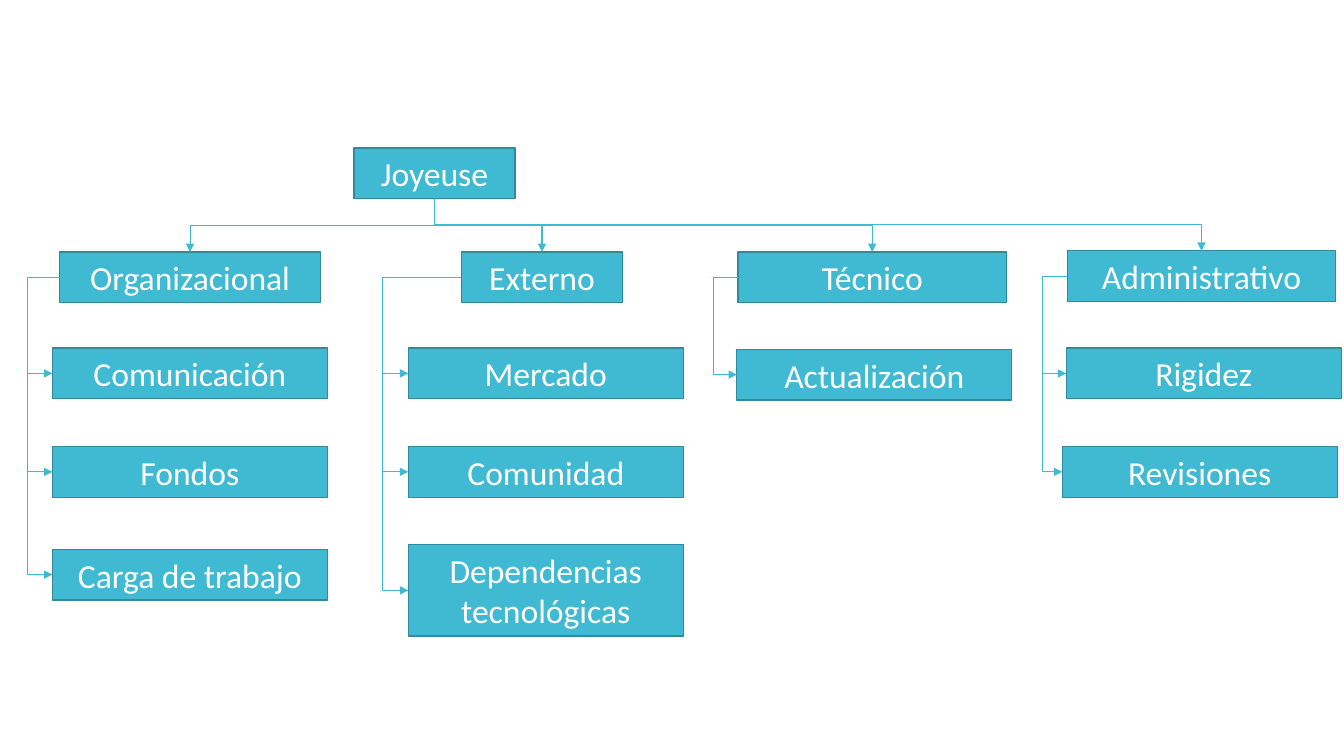
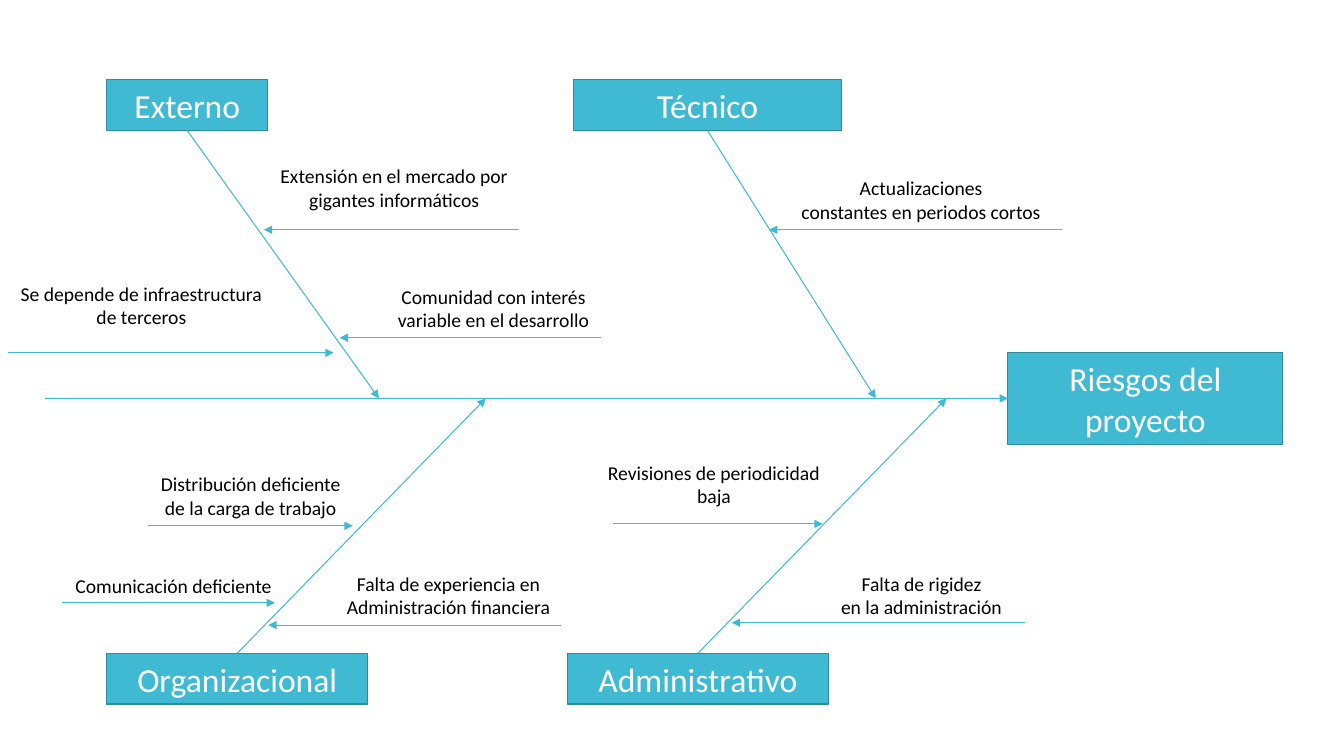
from dataclasses import dataclass

from lxml import etree
from pptx import Presentation
from pptx import util as u
from pptx.dml.color import RGBColor
from pptx.enum import shapes, text
from pptx.oxml import ns

Cm = u.Cm
TOP, LEFT, BOTTOM = 0, 1, 2  # connection sites of a rectangle


@dataclass(frozen=True)
class Theme:
    font: str = "Calibri"
    box_size: float = 24
    label_size: float = 14
    fill: RGBColor = RGBColor(0x40, 0xBA, 0xD2)
    border: RGBColor = RGBColor(0x2F, 0x8A, 0x9B)
    box_text: RGBColor = RGBColor(0xFF, 0xFF, 0xFF)
    label_text: RGBColor = RGBColor(0, 0, 0)
    border_width: float = 0.85
    line_width: float = 0.75
    box_height: float = 1.28
    tall_box_height: float = 2.31


class Diagram:
    """Draws boxes, labels and arrows on the current slide; lengths in cm."""

    def __init__(self, presentation, theme):
        self.presentation = presentation
        self.theme = theme
        self.slide = None

    def new_slide(self):
        blank = self.presentation.slide_layouts[6]
        self.slide = self.presentation.slides.add_slide(blank)

    def set_text(self, shape, content, size, color, wrap):
        frame = shape.text_frame
        frame.text = content
        frame.word_wrap = wrap
        frame.auto_size = text.MSO_AUTO_SIZE.SHAPE_TO_FIT_TEXT
        for paragraph in frame.paragraphs:
            paragraph.alignment = text.PP_ALIGN.CENTER
            for run in paragraph.runs:
                run.font.name = self.theme.font
                run.font.size = u.Pt(size)
                run.font.color.rgb = color

    def box(self, content, left, top, width, height=None):
        theme = self.theme
        shape = self.slide.shapes.add_shape(
            shapes.MSO_SHAPE.RECTANGLE, Cm(left), Cm(top), Cm(width),
            Cm(height or theme.box_height))
        shape.shadow.inherit = False
        shape.fill.solid()
        shape.fill.fore_color.rgb = theme.fill
        shape.line.color.rgb = theme.border
        shape.line.width = u.Pt(theme.border_width)
        self.set_text(shape, content, theme.box_size, theme.box_text, True)
        return shape

    def label(self, content, left, top, width):
        height = 1.45 if "\n" in content else 0.86
        shape = self.slide.shapes.add_textbox(
            Cm(left), Cm(top), Cm(width), Cm(height))
        self.set_text(shape, content, self.theme.label_size,
                      self.theme.label_text, False)

    def style_arrow(self, connector):
        connector.line.color.rgb = self.theme.fill
        connector.line.width = u.Pt(self.theme.line_width)
        properties = connector.element.spPr
        line = properties.find(ns.qn("a:ln"))
        etree.SubElement(line, ns.qn("a:tailEnd"), type="triangle")
        etree.SubElement(properties, ns.qn("a:effectLst"))

    def arrow(self, start, end):
        """Straight arrow between two (x, y) points."""
        connector = self.slide.shapes.add_connector(
            shapes.MSO_CONNECTOR.STRAIGHT, *map(Cm, start + end))
        self.style_arrow(connector)
        return connector

    def elbow(self, source, source_site, target, target_site):
        connector = self.slide.shapes.add_connector(
            shapes.MSO_CONNECTOR.ELBOW, 0, 0, 0, 0)
        connector.begin_connect(source, source_site)
        connector.end_connect(target, target_site)
        self.style_arrow(connector)
        return connector

    def orient(self, connector, degrees, flip, bend):
        """Set rotation, flip and the bend position as a share of the run."""
        properties = connector.element.spPr
        transform = properties.find(ns.qn("a:xfrm"))
        for name in ("flipH", "flipV"):
            transform.attrib.pop(name, None)
        transform.set("rot", str(degrees * 60000))
        if flip:
            transform.set(flip, "1")
        adjustments = properties.find(ns.qn("a:prstGeom")).find(ns.qn("a:avLst"))
        etree.SubElement(adjustments, ns.qn("a:gd"), name="adj1",
                         fmla=f"val {round(bend * 100000)}")

    def branch_down(self, parent, child):
        """Elbow from a parent's bottom to a child's top, bent halfway."""
        connector = self.elbow(parent, BOTTOM, child, TOP)
        x1, y1 = connector.begin_x, connector.begin_y
        x2, y2 = connector.end_x, connector.end_y
        drop, reach = y2 - y1, abs(x2 - x1)
        connector.left = (x1 + x2 - drop) // 2
        connector.top = (y1 + y2 - reach) // 2
        connector.width, connector.height = drop, reach
        if x2 < x1:
            self.orient(connector, 90, None, 0.5)
        else:
            self.orient(connector, 270, "flipH", 0.5)

    def branch_side(self, parent, child, rail):
        """Elbow between left sides, running down a rail left of both."""
        connector = self.elbow(parent, LEFT, child, LEFT)
        start = connector.begin_x
        bend = (start - Cm(rail)) / (start - connector.end_x)
        self.orient(connector, 180, "flipV", bend)


def draw_risk_tree(diagram):
    tall = diagram.theme.tall_box_height
    child_width = 6.93
    # heading box, rail x, children (text, left, top, height)
    categories = [
        (("Organizacional", 1.5, 6.35, 6.58), 0.69, [
            ("Comunicación", 1.32, 8.77, None),
            ("Fondos", 1.32, 11.25, None),
            ("Carga de trabajo", 1.32, 13.84, None)]),
        (("Externo", 11.63, 6.35, 4.06), 9.65, [
            ("Mercado", 10.29, 8.77, None),
            ("Comunidad", 10.29, 11.25, None),
            ("Dependencias tecnológicas", 10.29, 13.72, tall)]),
        (("Técnico", 18.6, 6.35, 6.76), 17.98, [
            ("Actualización", 18.57, 8.8, None)]),
        (("Administrativo", 26.9, 6.32, 6.76), 26.26, [
            ("Rigidez", 26.87, 8.77, None),
            ("Revisiones", 26.77, 11.25, None)]),
    ]
    diagram.new_slide()
    root = diagram.box("Joyeuse", 8.92, 3.73, 4.06)
    for heading, rail, children in categories:
        category = diagram.box(*heading)
        diagram.branch_down(root, category)
        for content, left, top, height in children:
            child = diagram.box(content, left, top, child_width, height)
            diagram.branch_side(category, child, rail)


def draw_fishbone(diagram):
    spine = 10.04
    upper, lower = 2.01, 16.46
    # text, left, top, width, x where the bone meets the spine
    bones = [
        ("Externo", 2.69, upper, 4.06, 9.55),
        ("Técnico", 14.45, upper, 6.76, 22.07),
        ("Organizacional", 2.69, lower, 6.58, 12.24),
        ("Administrativo", 14.3, lower, 6.58, 23.85),
    ]
    # text, left, top, width, then arrow start x, end x and y
    causes = [
        ("Extensión en el mercado por\ngigantes informáticos",
         6.76, 4.01, 6.35, 13.08, 6.65, 5.79),
        ("Se depende de infraestructura\nde terceros",
         0.2, 6.97, 6.73, 0.2, 8.41, 8.89),
        ("Comunidad con interés\nvariable en el desarrollo",
         9.75, 7.05, 5.38, 15.14, 8.56, 8.51),
        ("Actualizaciones\nconstantes en periodos cortos",
         19.89, 4.32, 6.65, 26.77, 19.38, 5.79),
        ("Distribución deficiente\nde la carga de trabajo",
         3.73, 11.77, 5.18, 3.73, 8.89, 13.25),
        ("Comunicación deficiente",
         1.57, 14.33, 5.61, 1.57, 6.93, 15.19),
        ("Falta de experiencia en\nAdministración financiera",
         8.41, 14.28, 5.79, 14.15, 6.76, 15.75),
        ("Revisiones de periodicidad\nbaja",
         15.01, 11.48, 5.97, 15.44, 20.73, 13.2),
        ("Falta de rigidez\nen la administración",
         20.9, 14.28, 4.65, 25.83, 18.44, 15.69),
    ]
    diagram.new_slide()
    height = diagram.theme.tall_box_height
    effect = diagram.box("Riesgos del proyecto", 25.4, spine - height / 2,
                         6.93, height)
    diagram.arrow((1.14, spine), (25.4, spine)).end_connect(effect, LEFT)
    for content, left, top, width, joint in bones:
        category = diagram.box(content, left, top, width)
        bone = diagram.arrow((left + width / 2, top), (joint, spine))
        bone.begin_connect(category, BOTTOM if top < spine else TOP)
    for content, left, top, width, start, end, level in causes:
        diagram.label(content, left, top, width)
        diagram.arrow((start, level), (end, level))


def main():
    presentation = Presentation()
    presentation.slide_width = Cm(33.87)
    presentation.slide_height = Cm(19.05)
    diagram = Diagram(presentation, Theme())
    draw_risk_tree(diagram)
    draw_fishbone(diagram)
    presentation.save("out.pptx")


if __name__ == "__main__":
    main()
